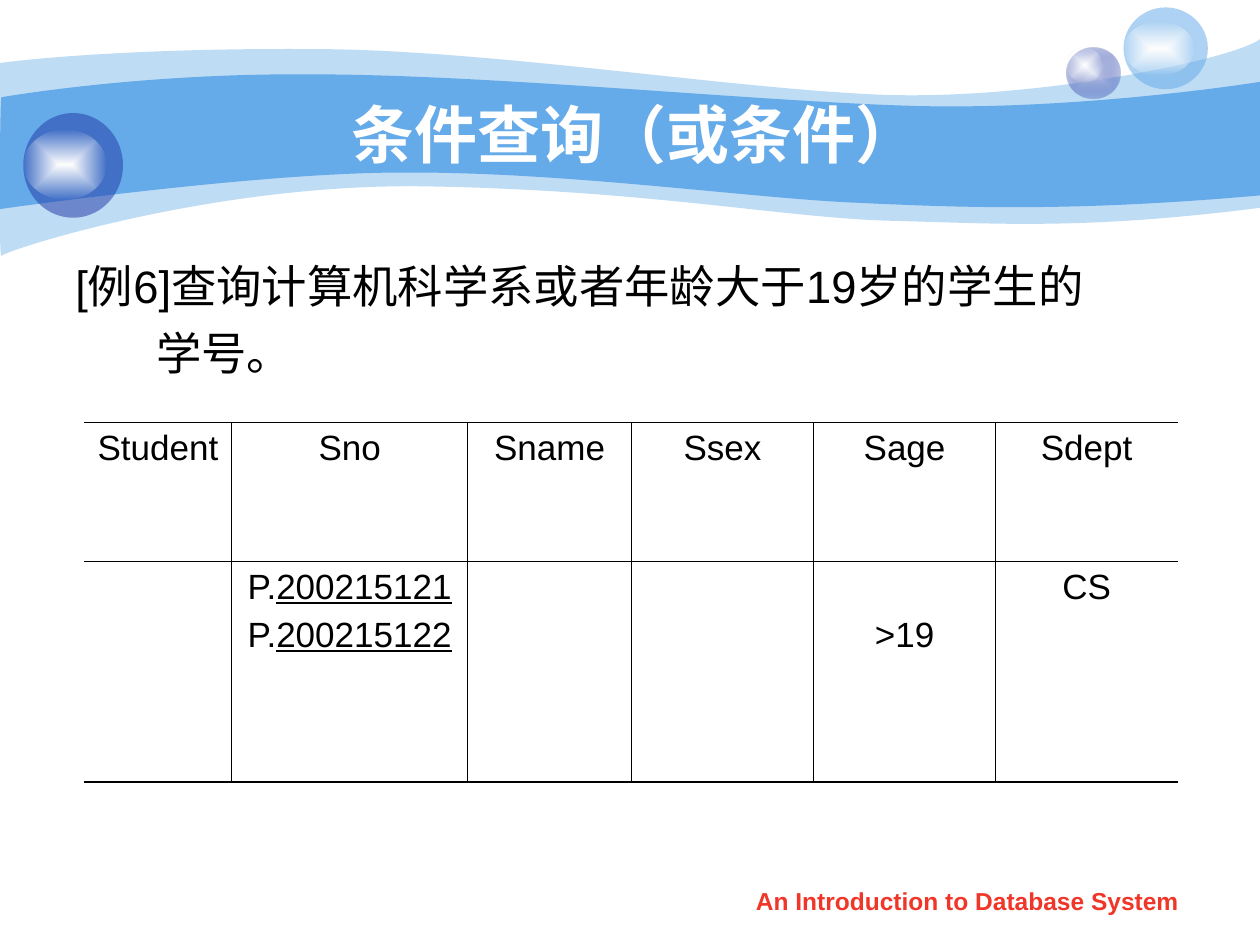
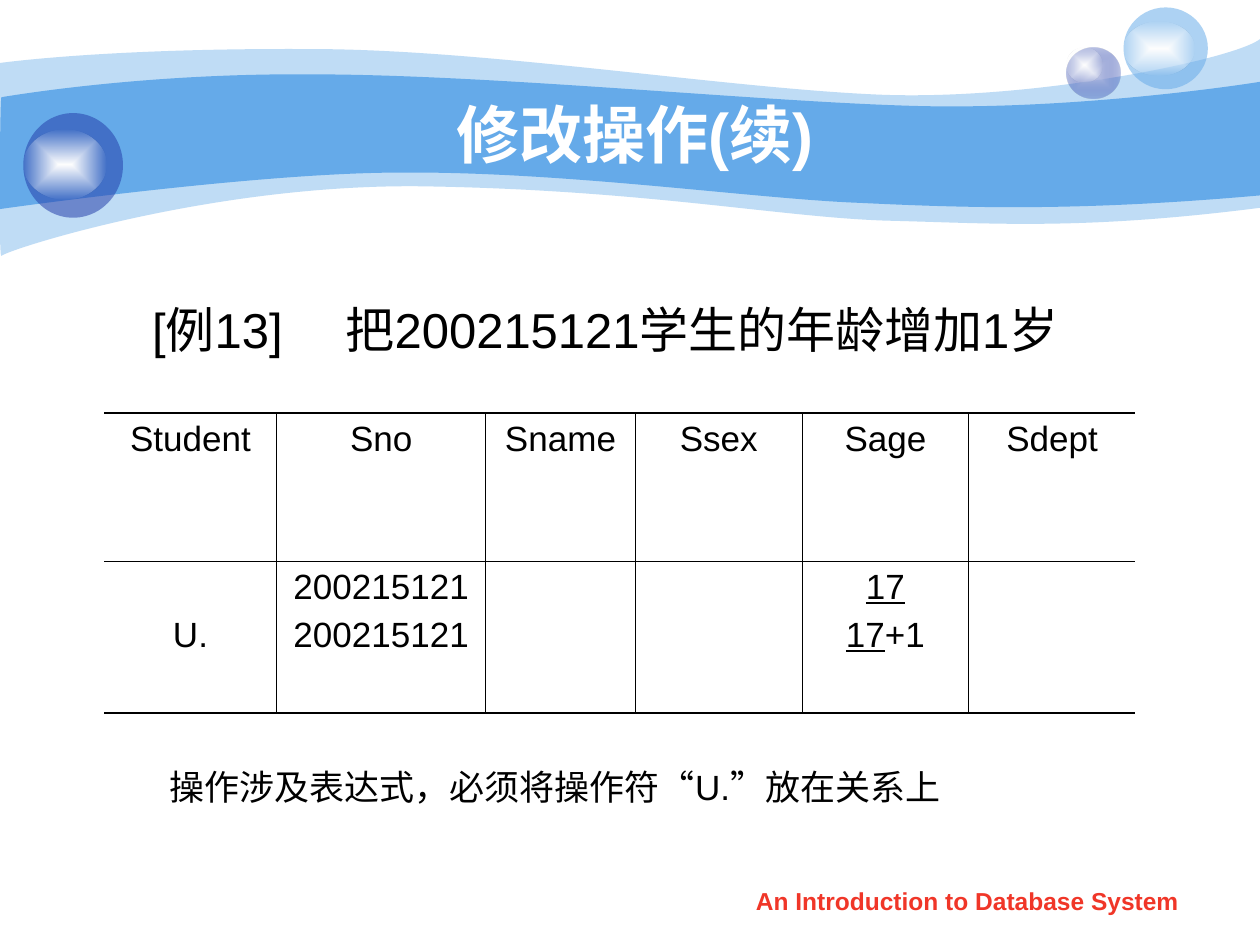
from dataclasses import dataclass

from lxml import etree
from pptx import Presentation
from pptx import util as u
from pptx.dml.color import RGBColor
from pptx.enum import shapes, text
from pptx.oxml import parse_xml
from pptx.oxml.ns import nsdecls, qn


@dataclass(frozen=True)
class Theme:
    font: str = "Arial"
    sky: str = "65AAE9"
    navy: str = "233DA9"
    lavender: str = "C7CEE9"
    white: str = "FFFFFF"
    ink: str = "000000"
    footer_red: str = "F03628"
    title_size: float = 36
    question_size: float = 25.9
    request_size: float = 28
    table_size: float = 20
    footer_size: float = 14
    outer_rule: float = 1.08
    inner_rule: float = 0.45


THEME = Theme()
LEFT, CENTER, JUSTIFY = (text.PP_ALIGN.LEFT, text.PP_ALIGN.CENTER,
                         text.PP_ALIGN.JUSTIFY)
TOP, MIDDLE = text.MSO_ANCHOR.TOP, text.MSO_ANCHOR.MIDDLE
SLIDE_BOX = (0, 0, 25.4, 19.05)
TITLE_BOX = (2.54, 1.9, 20.52, 1.58)
FOOTER_BOX = (14.5, 17.71, 10.01, 0.89)
UNITS_PER_CM = 100

# Each wave is a start point, then segments of one point (line) or three (curve), in cm.
PALE_WAVE = (
    (0, 1.27),
    [[(0.61, 1.19), (2.72, 0.97), (6.27, 0.99)],
     [(9.8, 0.99), (14.61, 1.78), (17.75, 1.91)],
     [(20.88, 2.03), (24.89, 1.19), (25.4, 0.79)],
     [(25.4, 4.19)],
     [(21.79, 4.65), (19.99, 4.5), (17.91, 4.45)],
     [(15.8, 4.39), (13.08, 3.84), (8.71, 3.76)],
     [(4.37, 3.66), (0.1, 5.05), (0.03, 5.16)],
     [(-0.03, 5.28), (0, 1.91), (0, 1.27)]],
)
DEEP_WAVE = (
    (0.03, 1.96),
    [[(0.05, 1.96), (2.79, 1.47), (6.3, 1.5)],
     [(9.8, 1.5), (15.11, 2.03), (18.24, 2.13)],
     [(21.36, 2.24), (24.79, 1.75), (25.4, 1.65)],
     [(25.4, 3.94)],
     [(21.67, 4.27), (19.43, 4.19), (17.32, 4.09)],
     [(15.21, 4.01), (11.35, 3.45), (8.05, 3.48)],
     [(5.16, 3.48), (-0.05, 4.22), (-0.03, 4.22)],
     [(0, 4.22), (0, 1.96), (0.03, 1.96)]],
)


def cm_box(box):
    return [u.Cm(length) for length in box]


def fill_solid(shape, color, opacity=100):
    shape.fill.solid()
    shape.fill.fore_color.rgb = RGBColor.from_string(color)
    if opacity < 100:
        color_element = next(shape.fill._xPr.iter(qn("a:srgbClr")))
        etree.SubElement(color_element, qn("a:alpha"), val=str(opacity * 1000))


def fill_glow(shape, center_color, edge_color, edge_opacity):
    """Fill from the centre outwards, fading towards the edge."""
    shape.fill.background()
    properties = shape.fill._xPr
    glow = parse_xml(
        f'<a:gradFill {nsdecls("a")} rotWithShape="1"><a:gsLst>'
        f'<a:gs pos="0"><a:srgbClr val="{center_color}"/></a:gs>'
        f'<a:gs pos="100000"><a:srgbClr val="{edge_color}">'
        f'<a:alpha val="{edge_opacity * 1000}"/></a:srgbClr></a:gs></a:gsLst>'
        '<a:path path="rect"><a:fillToRect l="50000" t="50000" r="50000" b="50000"/>'
        '</a:path></a:gradFill>')
    properties.replace(properties.find(qn("a:noFill")), glow)


def make_plain(shape):
    shape.shadow.inherit = False
    shape.line.fill.background()


def bend_segments(shape, segments, corner):
    """Turn the straight segments that have control points into curves."""
    lines = list(shape._element.iter(qn("a:lnTo")))
    for line, points in zip(lines, segments):
        if len(points) == 3:
            curve = etree.Element(qn("a:cubicBezTo"))
            for x, y in points:
                etree.SubElement(curve, qn("a:pt"), x=str(x - corner[0]),
                                 y=str(y - corner[1]))
            line.getparent().replace(line, curve)


def add_wave(slide, box, wave, opacity):
    def in_units(point):
        return tuple(round(length * UNITS_PER_CM) for length in point)

    start = in_units(wave[0])
    segments = [[in_units(point) for point in points] for points in wave[1]]
    anchors = [points[-1] for points in segments]
    builder = slide.shapes.build_freeform(*start, scale=u.Cm(1) / UNITS_PER_CM)
    builder.add_line_segments(anchors, close=True)
    shape = builder.convert_to_shape(u.Cm(box[0]), u.Cm(box[1]))
    bend_segments(shape, segments, [min(lengths) for lengths in zip(*anchors)])
    make_plain(shape)
    fill_solid(shape, THEME.sky, opacity)


def add_ball(slide, box, gloss, paint):
    """Add a ball; gloss is (drop from the top, width, height) of its highlight."""
    left, top, _, _ = box
    drop, width, height = gloss
    group = slide.shapes.add_group_shape()
    oval = shapes.MSO_SHAPE.OVAL
    ball = group.shapes.add_shape(oval, *cm_box(box))
    highlight = group.shapes.add_shape(oval, *cm_box((left, top + drop, width, height)))
    for shape in (ball, highlight):
        make_plain(shape)
    paint(ball)
    fill_glow(highlight, THEME.white, THEME.white, 0)


def add_banner(slide, box):
    left, top, _, _ = box
    add_wave(slide, box, PALE_WAVE, 41)
    add_wave(slide, box, DEEP_WAVE, 100)
    balls = [
        ((21.51, 0.97, 1.07, 1.02), (0, 0.71, 0.69),
         lambda ball: fill_glow(ball, THEME.lavender, THEME.navy, 31)),
        ((22.65, 0.15, 1.7, 1.65), (0.28, 1.42, 1.09),
         lambda ball: fill_solid(ball, THEME.sky, 53)),
        ((0.47, 2.28, 2.01, 2.11), (0.33, 1.68, 1.42),
         lambda ball: fill_solid(ball, THEME.navy, 53)),
    ]
    for (x, y, width, height), gloss, paint in balls:
        add_ball(slide, (left + x, top + y, width, height), gloss, paint)


def style_paragraph(paragraph, size, color=THEME.ink, bold=False, align=LEFT):
    paragraph.alignment = align
    font = paragraph.font
    font.name, font.size, font.bold = THEME.font, u.Pt(size), bold
    font.color.rgb = RGBColor.from_string(color)


def add_text(slide, box, lines, size, anchor=MIDDLE, gap=0, indents=None, tab=None,
             **style):
    """Add one paragraph per line; indents and tab are in cm."""
    frame = slide.shapes.add_textbox(*cm_box(box)).text_frame
    frame.word_wrap = True
    frame.vertical_anchor = anchor
    frame.margin_left = frame.margin_right = 0
    for index, line in enumerate(lines):
        paragraph = frame.add_paragraph() if index else frame.paragraphs[0]
        paragraph.text = line
        properties = paragraph._p.get_or_add_pPr()
        if indents:
            properties.set("marL", str(u.Cm(indents[index])))
        if tab:
            tabs = etree.SubElement(properties, qn("a:tabLst"))
            etree.SubElement(tabs, qn("a:tab"), pos=str(u.Cm(tab)), algn="l")
        if index:
            paragraph.space_before = u.Pt(gap)
        style_paragraph(paragraph, size, **style)


def set_borders(cell, **widths):
    """Rule the sides L, R, T and B; a width of 0 leaves a side open."""
    properties = cell._tc.get_or_add_tcPr()
    for side, width in widths.items():
        line = etree.SubElement(properties, qn(f"a:ln{side}"), w=str(u.Pt(width)))
        if width:
            fill = etree.SubElement(line, qn("a:solidFill"))
            etree.SubElement(fill, qn("a:srgbClr"), val=THEME.ink)
        else:
            etree.SubElement(line, qn("a:noFill"))


def fill_cell(cell, content):
    """Write the lines of a cell: _x_ underlines x, a leading empty line lowers the rest."""
    lines = content.split("\n")
    if content.startswith("\n"):
        cell.margin_top = u.Cm(1.1)
        lines = lines[1:]
    frame = cell.text_frame
    for index, line in enumerate(lines):
        paragraph = frame.add_paragraph() if index else frame.paragraphs[0]
        if index:
            paragraph.space_before = u.Pt(5)
        style_paragraph(paragraph, THEME.table_size, align=CENTER)
        for position, part in enumerate(line.split("_")):
            if part:
                run = paragraph.add_run()
                run.text = part
                if position % 2:
                    run.font.underline = True


def add_student_table(slide, left, top, column_widths, row_heights, entries):
    header = ["Student", "Sno", "Sname", "Ssex", "Sage", "Sdept"]
    rows = [header, [entries.get(name, "") for name in header]]
    box = (left, top, sum(column_widths), sum(row_heights))
    table = slide.shapes.add_table(len(rows), len(header), *cm_box(box)).table
    table.first_row = table.horz_banding = False
    for column, width in zip(table.columns, column_widths):
        column.width = u.Cm(width)
    last_row, last_column = len(rows) - 1, len(header) - 1
    outer, inner = THEME.outer_rule, THEME.inner_rule
    for r, (row, contents) in enumerate(zip(table.rows, rows)):
        row.height = u.Cm(row_heights[r])
        for c, content in enumerate(contents):
            cell = table.cell(r, c)
            set_borders(cell, L=inner if c else 0, R=inner if c < last_column else 0,
                        T=inner if r else outer, B=inner if r < last_row else outer)
            cell.fill.background()
            fill_cell(cell, content)


def add_framed_slide(presentation, title):
    slide = presentation.slides.add_slide(presentation.slide_layouts[6])
    add_banner(slide, SLIDE_BOX)
    add_text(slide, FOOTER_BOX, ["An Introduction to Database System"],
             THEME.footer_size, color=THEME.footer_red, bold=True, align=CENTER)
    add_text(slide, TITLE_BOX, [title], THEME.title_size, color=THEME.white,
             bold=True, align=CENTER)
    return slide


def add_or_query_slide(presentation):
    slide = add_framed_slide(presentation, "条件查询（或条件）")
    add_text(slide, (1.52, 5.08, 22.33, 3.45),
             ["[例6]查询计算机科学系或者年龄大于19岁的学生的", "学号。"],
             THEME.question_size, anchor=TOP, gap=7, indents=(0, 1.63), align=JUSTIFY)
    add_student_table(slide, 1.7, 8.52, [2.97, 4.76, 3.3] + [3.67] * 3, [2.8, 4.45],
                      {"Sno": "P._200215121_\nP._200215122_",
                       "Sage": "\n>19", "Sdept": "CS"})


def add_update_slide(presentation):
    slide = add_framed_slide(presentation, "修改操作(续)")
    add_text(slide, (3.07, 5.93, 20.5, 1.4), ["[例13]\t把200215121学生的年龄增加1岁"],
             THEME.request_size, tab=3.9)
    add_student_table(slide, 2.1, 8.33, [3.48, 4.21, 3.02] + [3.36] * 3, [2.99, 3.05],
                      {"Student": "\nU.", "Sno": "200215121\n200215121",
                       "Sage": "_17_\n_17_+1"})
    add_text(slide, (3.41, 15.28, 19, 1.16),
             ["操作涉及表达式，必须将操作符“U.”放在关系上"], THEME.table_size)


def main():
    presentation = Presentation()
    presentation.slide_width, presentation.slide_height = cm_box(SLIDE_BOX[2:])
    add_or_query_slide(presentation)
    add_update_slide(presentation)
    presentation.save("out.pptx")


if __name__ == "__main__":
    main()
